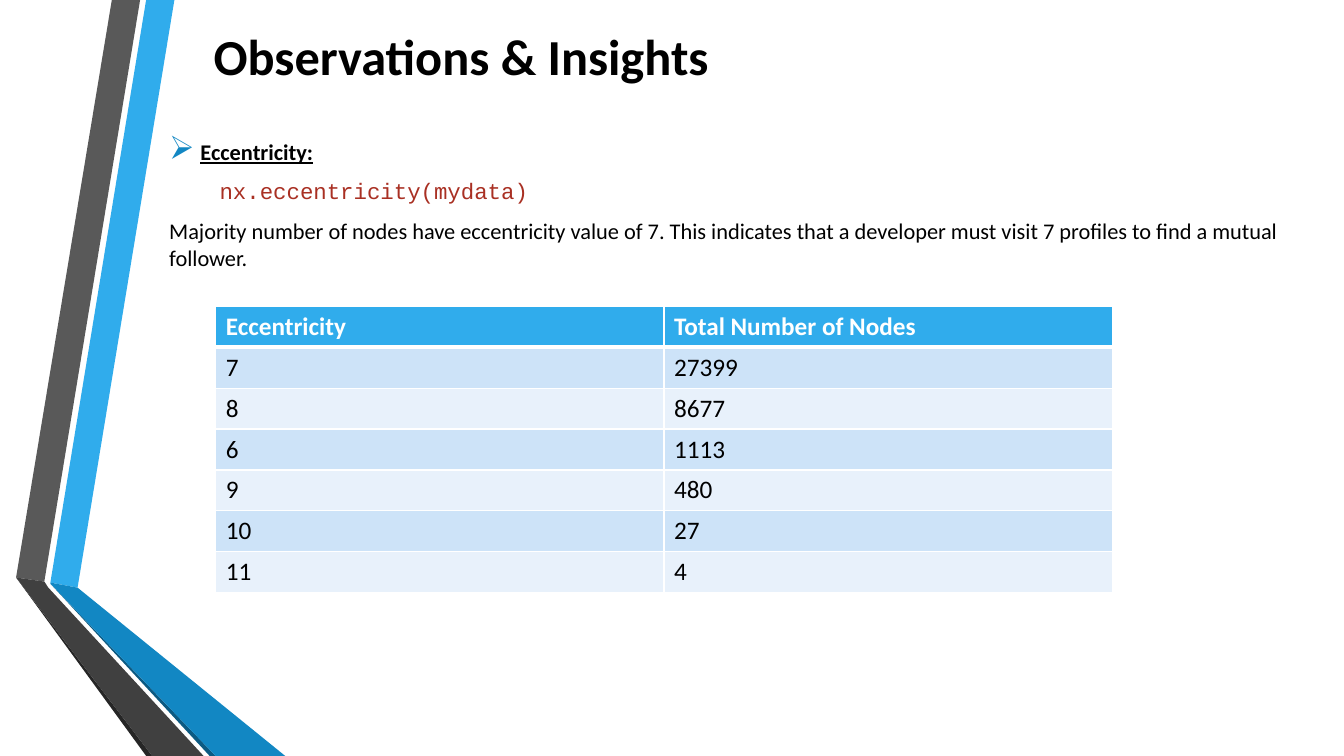
from dataclasses import dataclass

from lxml import etree
from pptx import Presentation
from pptx import util as u
from pptx.dml.color import RGBColor
from pptx.enum import text
from pptx.oxml import ns

COLORS = {
    "black": "000000", "white": "FFFFFF", "code": "A93023",
    "blue": "30ACEC", "blue_mid": "1287C3", "blue_dark": "0C5A82",
    "gray": "595959", "gray_mid": "404040", "gray_dark": "262626",
    "band_dark": "CDE3F8", "band_light": "E8F1FB",
}


@dataclass(frozen=True)
class Ribbon:
    """A filled polygon of the side decoration, in inches."""
    color: str
    points: tuple[tuple[float, float], ...]


@dataclass(frozen=True)
class Line:
    """A paragraph with one font."""
    words: str
    size: float = 16
    font: str = "Calibri"
    color: str = "black"
    bold: bool = False
    underline: bool = False
    indent: float = 0
    bullet: str = ""


RIBBONS = (
    Ribbon("blue", ((0.5, 5.78), (0.77, 5.83), (1.73, 0), (1.45, 0))),
    Ribbon("gray", ((1.39, 0), (1.11, 0), (0.16, 5.73), (0.44, 5.77))),
    Ribbon("gray_dark", ((0.16, 5.73), (1.45, 7.5), (1.51, 7.5))),
    Ribbon("blue_dark", ((0.5, 5.79), (2.08, 7.5), (2.14, 7.5))),
    Ribbon("blue_mid", ((0.5, 5.78), (0.5, 5.79), (2.14, 7.5), (2.83, 7.5), (0.77, 5.83))),
    Ribbon("gray_mid", ((2.02, 7.5), (0.48, 5.83), (0.44, 5.77), (0.16, 5.73), (1.51, 7.5))),
)
TITLE = Line("Observations & Insights", size=36, bold=True)
BODY = (
    Line("Eccentricity:", bold=True, underline=True, indent=0.31, bullet="➢"),
    Line("nx.eccentricity(mydata)", font="Courier New", color="code", indent=0.5),
    Line("Majority number of nodes have eccentricity value of 7. This indicates that "
         "a developer must visit 7 profiles to find a mutual follower."),
)
HEADERS = ("Eccentricity", "Total Number of Nodes")
NODE_COUNTS = ((7, 27399), (8, 8677), (6, 1113), (9, 480), (10, 27), (11, 4))


def rgb(name: str) -> RGBColor:
    """Look up a named colour."""
    return RGBColor.from_string(COLORS[name])


def add_color(parent, name: str) -> None:
    """Append a colour element to an XML parent."""
    etree.SubElement(parent, ns.qn("a:srgbClr"), val=COLORS[name])


def draw_ribbon(slide, ribbon: Ribbon) -> None:
    """Draw one polygon without an outline."""
    points = [(u.Inches(x), u.Inches(y)) for x, y in ribbon.points]
    builder = slide.shapes.build_freeform(*points[0])
    builder.add_line_segments(points[1:], close=True)
    shape = builder.convert_to_shape()
    shape.shadow.inherit = False
    shape.fill.solid()
    shape.fill.fore_color.rgb = rgb(ribbon.color)
    shape.line.fill.background()


def write_line(paragraph, line: Line) -> None:
    """Fill a paragraph with text, font, indent and bullet."""
    paragraph.text = line.words
    font = paragraph.font
    font.name, font.size = line.font, u.Pt(line.size)
    font.bold, font.underline = line.bold, line.underline
    font.color.rgb = rgb(line.color)
    properties = paragraph._p.get_or_add_pPr()
    if line.indent:
        properties.set("marL", str(u.Inches(line.indent)))
    if line.bullet:
        properties.set("indent", str(-u.Inches(line.indent)))
        bullet_parts = [etree.Element(ns.qn(tag)) for tag in ("a:buClr", "a:buSzPct", "a:buChar")]
        add_color(bullet_parts[0], "blue_mid")
        bullet_parts[1].set("val", "145000")
        bullet_parts[2].set("char", line.bullet)
        font_element = properties.find(ns.qn("a:defRPr"))
        for part in bullet_parts:
            font_element.addprevious(part)


def add_text(slide, left: float, top: float, width: float, height: float):
    """Add a wrapping text box and return its text frame."""
    box = slide.shapes.add_textbox(*map(u.Inches, (left, top, width, height)))
    box.text_frame.word_wrap = True
    return box.text_frame


def draw_title(slide) -> None:
    """Draw the centred heading."""
    frame = add_text(slide, 1.8, 0.17, 5.55, 0.75)
    frame.vertical_anchor = text.MSO_ANCHOR.MIDDLE
    write_line(frame.paragraphs[0], TITLE)
    frame.paragraphs[0].alignment = text.PP_ALIGN.CENTER


def draw_body(slide) -> None:
    """Draw the explanation above the table."""
    frame = add_text(slide, 1.58, 1.32, 11.55, 1.55)
    for index, line in enumerate(BODY):
        paragraph = frame.add_paragraph() if index else frame.paragraphs[0]
        paragraph.space_before, paragraph.space_after = u.Pt(3), u.Pt(6)
        write_line(paragraph, line)


def set_borders(cell, top: float, bottom: float) -> None:
    """Give a cell white borders, with widths in points."""
    properties = cell._tc.get_or_add_tcPr()
    for side, width in (("L", 1), ("R", 1), ("T", top), ("B", bottom)):
        border = etree.SubElement(properties, ns.qn(f"a:ln{side}"), w=str(u.Pt(width)))
        add_color(etree.SubElement(border, ns.qn("a:solidFill")), "white")


def draw_table(slide) -> None:
    """Draw the banded table of node counts."""
    rows = (HEADERS, *NODE_COUNTS)
    area = map(u.Inches, (2.14, 3.04, 8.89, 2.84))
    table = slide.shapes.add_table(len(rows), len(HEADERS), *area).table
    for row_index, row in enumerate(rows):
        is_header = row_index == 0
        band = "blue" if is_header else "band_dark" if row_index % 2 else "band_light"
        for column_index, value in enumerate(row):
            cell = table.cell(row_index, column_index)
            set_borders(cell, 3 if row_index == 1 else 1, 3 if is_header else 1)
            cell.fill.solid()
            cell.fill.fore_color.rgb = rgb(band)
            color = "white" if is_header else "black"
            write_line(cell.text_frame.paragraphs[0],
                       Line(str(value), size=18, color=color, bold=is_header))


def main() -> None:
    """Build and save the presentation."""
    presentation = Presentation()
    presentation.slide_width, presentation.slide_height = u.Inches(13.33), u.Inches(7.5)
    slide = presentation.slides.add_slide(presentation.slide_layouts[6])
    for ribbon in RIBBONS:
        draw_ribbon(slide, ribbon)
    draw_title(slide)
    draw_body(slide)
    draw_table(slide)
    presentation.save("out.pptx")


main()
